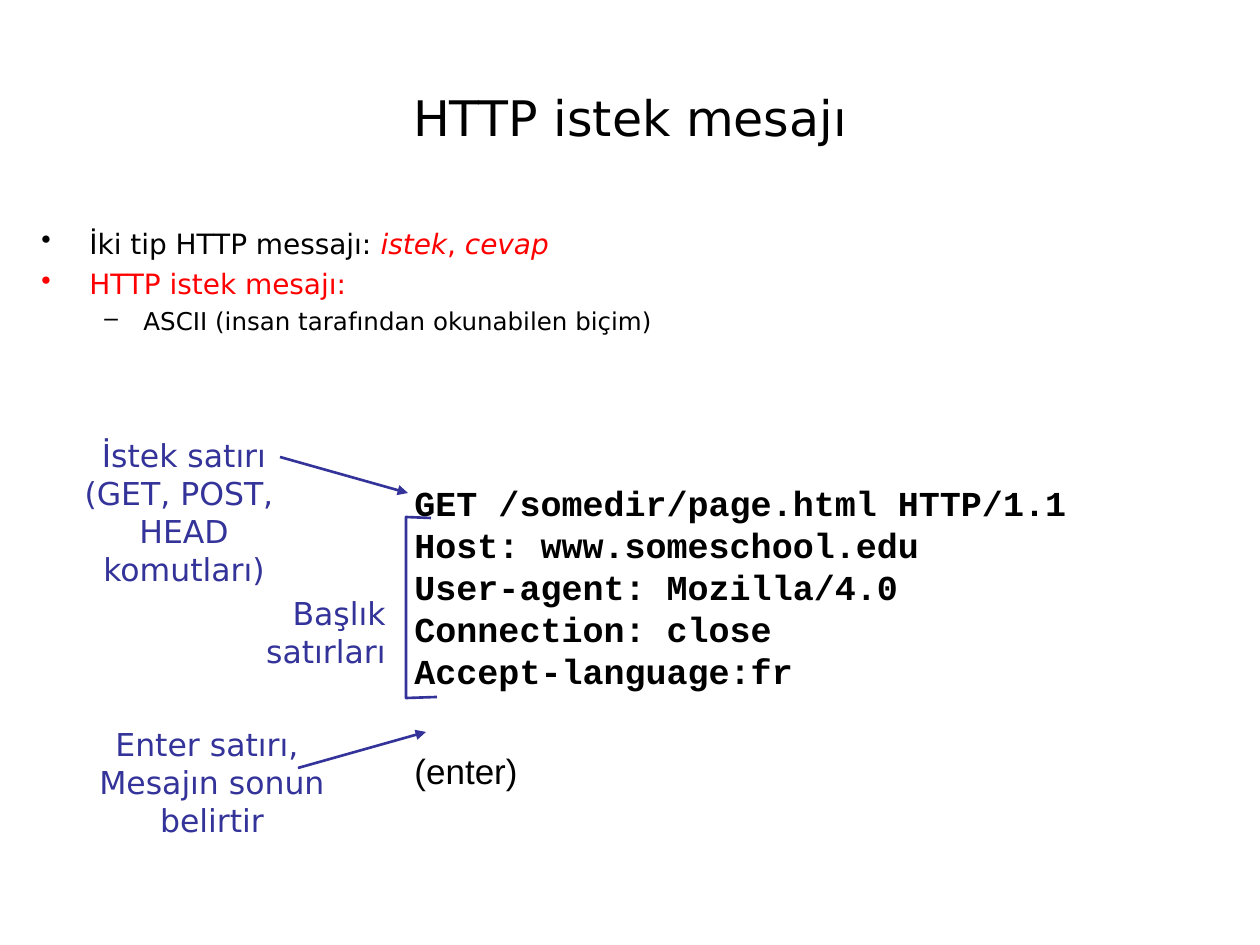
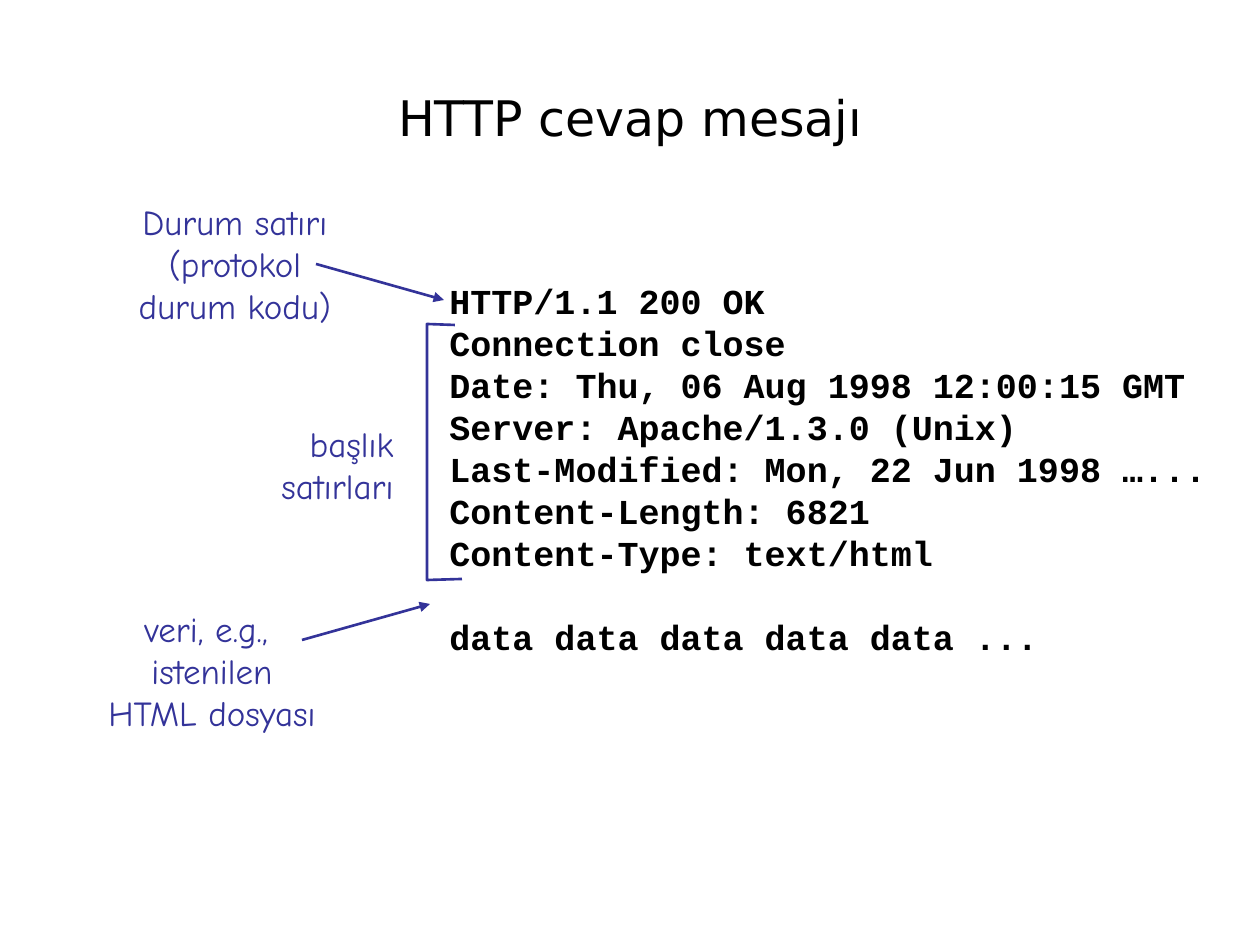
from dataclasses import dataclass

from lxml import etree
from pptx import Presentation
from pptx.dml.color import RGBColor
from pptx.enum.shapes import MSO_CONNECTOR
from pptx.enum.text import MSO_ANCHOR, PP_ALIGN as Align
from pptx.oxml.ns import qn
from pptx.util import Emu, Pt

PX = 914400 // 126
BLACK, RED, INDIGO = "000000", "FF0000", "333399"
SANS, CODE, COMIC = "DejaVu Sans", "Courier New", "Comic Neue"
TITLE_BOX = (63, 38, 1134, 158)
LINE_WIDTH = Pt(1.5)
ARROW_WIDTH, ARROW_HEIGHT = 128, 36


@dataclass
class Label:
    box: tuple
    lines: list
    align: Align = Align.CENTER


@dataclass
class Message:
    """A message with its notes; every place is relative to the message box."""
    box: tuple
    lines: list
    ending: str
    ending_gap: int
    ending_font: tuple
    label_font: tuple
    labels: list
    arrow_tips: tuple
    bracket: tuple


def px(length):
    return Emu(length * PX)


def rgb(color):
    return RGBColor.from_string(color)


def style(font, name, size, color, bold=False, italic=False):
    font.name, font.size = name, Pt(size)
    font.color.rgb = rgb(color)
    font.bold, font.italic = bold, italic


def text_frame_at(slide, box):
    frame = slide.shapes.add_textbox(*map(px, box)).text_frame
    frame.word_wrap = True
    return frame


def add_lines(frame, lines, font, align=Align.LEFT):
    frame.text = "\n".join(lines)
    for paragraph in frame.paragraphs:
        paragraph.alignment = align
        for run in paragraph.runs:
            style(run.font, *font)


def add_title(slide, text):
    frame = text_frame_at(slide, TITLE_BOX)
    frame.vertical_anchor = MSO_ANCHOR.MIDDLE
    add_lines(frame, [text], (SANS, 28, BLACK), Align.CENTER)


def add_bullet(paragraph, character, color, margin, indent):
    properties = paragraph._p.get_or_add_pPr()
    properties.set("marL", str(px(margin)))
    properties.set("indent", str(px(-indent)))
    bullet_color = etree.SubElement(properties, qn("a:buClr"))
    etree.SubElement(bullet_color, qn("a:srgbClr")).set("val", color)
    etree.SubElement(properties, qn("a:buChar")).set("char", character)


def add_bullet_list(slide, box, items):
    """Each item is a level and its runs of (text, color, italic)."""
    levels = [("•", 48, 48, 16, 4), ("–", 102, 39, 14, 3.5)]
    frame = text_frame_at(slide, box)
    for index, (level, runs) in enumerate(items):
        paragraph = frame.add_paragraph() if index else frame.paragraphs[0]
        character, margin, indent, size, space = levels[level]
        add_bullet(paragraph, character, runs[0][1], margin, indent)
        if index:
            paragraph.space_before = Pt(space)
        for text, color, italic in runs:
            run = paragraph.add_run()
            run.text = text
            style(run.font, SANS, size, color, italic=italic)


def add_arrow(slide, tip_x, tip_y, direction):
    """Direction is 1 for an arrow that falls to its tip and -1 for one that rises."""
    start = (tip_x - ARROW_WIDTH, tip_y - direction * ARROW_HEIGHT)
    arrow = slide.shapes.add_connector(
        MSO_CONNECTOR.STRAIGHT, *map(px, (*start, tip_x, tip_y)))
    arrow.line.color.rgb = rgb(INDIGO)
    arrow.line.width = LINE_WIDTH
    line = arrow.line._get_or_add_ln()
    etree.SubElement(line, qn("a:tailEnd")).set("type", "triangle")
    etree.SubElement(arrow._element.spPr, qn("a:effectLst"))


def add_bracket(slide, left, top, height, upper_arm, lower_arm):
    bottom = top + height
    builder = slide.shapes.build_freeform(left + upper_arm, top + 1, scale=PX)
    builder.add_line_segments(
        [(left, top), (left, bottom), (left + lower_arm, bottom - 1)], close=False)
    bracket = builder.convert_to_shape()
    bracket.shadow.inherit = False
    bracket.fill.background()
    bracket.line.color.rgb = rgb(INDIGO)
    bracket.line.width = LINE_WIDTH


def add_message(slide, message):
    left, top = message.box[:2]
    frame = text_frame_at(slide, message.box)
    add_lines(frame, message.lines + [message.ending], (CODE, 20, BLACK, True))
    ending = frame.paragraphs[-1]
    ending.space_before = Pt(message.ending_gap)
    style(ending.runs[0].font, *message.ending_font)

    for label in message.labels:
        x, y, width, height = label.box
        label_frame = text_frame_at(slide, (left + x, top + y, width, height))
        add_lines(label_frame, label.lines, message.label_font, label.align)
    for (x, y), direction in zip(message.arrow_tips, (1, -1)):
        add_arrow(slide, left + x, top + y, direction)
    x, y, *lengths = message.bracket
    add_bracket(slide, left + x, top + y, *lengths)


REQUEST = Message(
    box=(402, 475, 678, 324),
    lines=["GET /somedir/page.html HTTP/1.1", "Host: www.someschool.edu",
           "User-agent: Mozilla/4.0", "Connection: close", "Accept-language:fr"],
    ending="(enter)", ending_gap=33, ending_font=("Arial", 20, BLACK),
    label_font=(SANS, 18, INDIGO),
    labels=[
        Label((-353, -45, 270, 126),
              ["İstek satırı", "(GET, POST, ", "HEAD komutları)"]),
        Label((-236, 113, 232, 50), ["Başlık satırları"], Align.RIGHT),
        Label((-364, 244, 348, 88), ["Enter satırı, ", "Mesajın sonun belirtir"]),
    ],
    arrow_tips=((6, 18), (24, 257)),
    bracket=(4, 42, 181, 25, 31),
)

RESPONSE = Message(
    box=(437, 273, 804, 391),
    lines=["HTTP/1.1 200 OK", "Connection close",
           "Date: Thu, 06 Aug 1998 12:00:15 GMT", "Server: Apache/1.3.0 (Unix)",
           "Last-Modified: Mon, 22 Jun 1998 …...", "Content-Length: 6821",
           "Content-Type: text/html"],
    ending="data data data data data ...", ending_gap=24,
    ending_font=(CODE, 20, BLACK, True),
    label_font=(COMIC, 20, INDIGO),
    labels=[
        Label((-311, -79, 218, 139), ["Durum satırı", "(protokol", "durum kodu)"]),
        Label((-180, 143, 149, 97), ["başlık", "satırları"], Align.RIGHT),
        Label((-343, 328, 236, 139), ["veri, e.g., ", "istenilen", "HTML dosyası"]),
    ],
    arrow_tips=((7, 27), (-7, 331)),
    bracket=(-10, 51, 256, 28, 35),
)

MESSAGE_TYPES = [
    (0, [("İki tip HTTP messajı: ", BLACK, False), ("istek", RED, True),
         (", ", RED, False), ("cevap", RED, True)]),
    (0, [("HTTP istek mesajı:", RED, False)]),
    (1, [("ASCII (insan tarafından okunabilen biçim)", BLACK, False)]),
]


def main():
    presentation = Presentation()
    presentation.slide_width, presentation.slide_height = px(1260), px(945)
    blank = presentation.slide_layouts[6]

    request_slide = presentation.slides.add_slide(blank)
    add_title(request_slide, "HTTP istek mesajı")
    add_bullet_list(request_slide, (29, 220, 1192, 624), MESSAGE_TYPES)
    add_message(request_slide, REQUEST)

    response_slide = presentation.slides.add_slide(blank)
    add_title(response_slide, "HTTP cevap mesajı")
    add_message(response_slide, RESPONSE)

    presentation.save("out.pptx")


if __name__ == "__main__":
    main()
